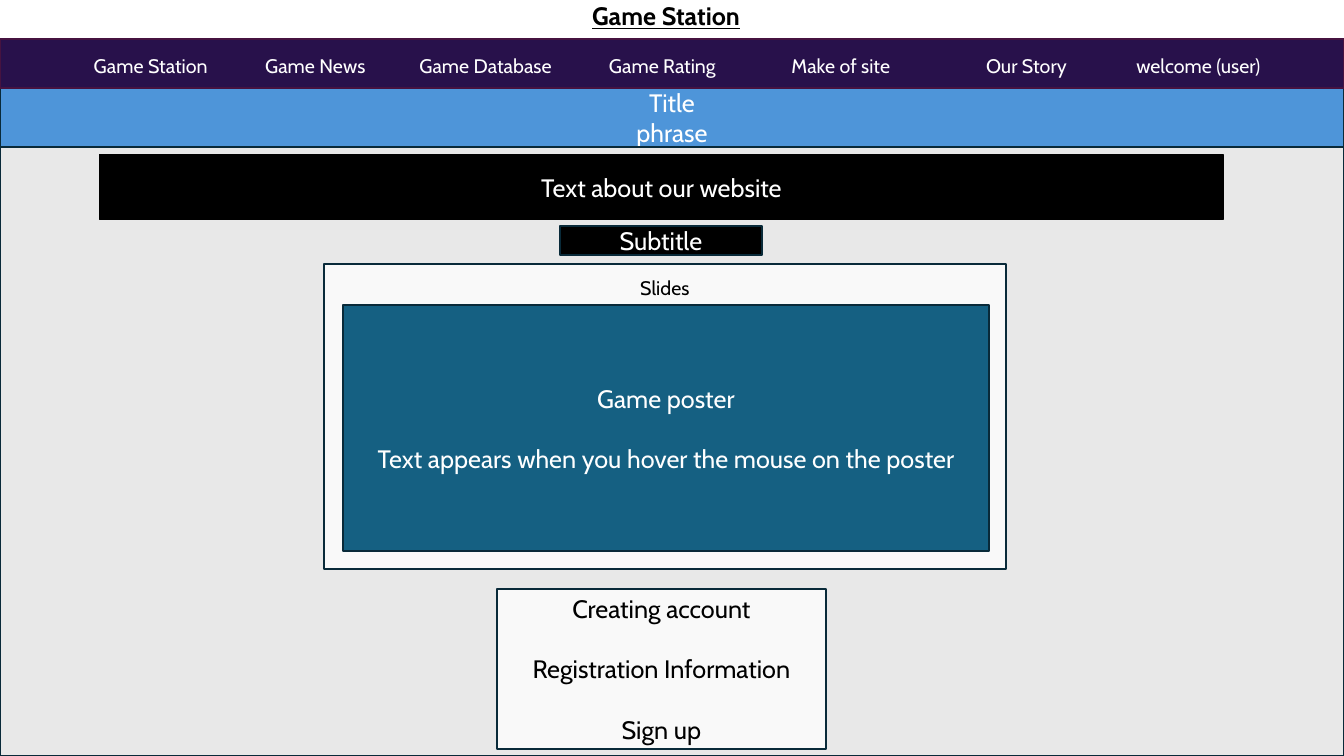
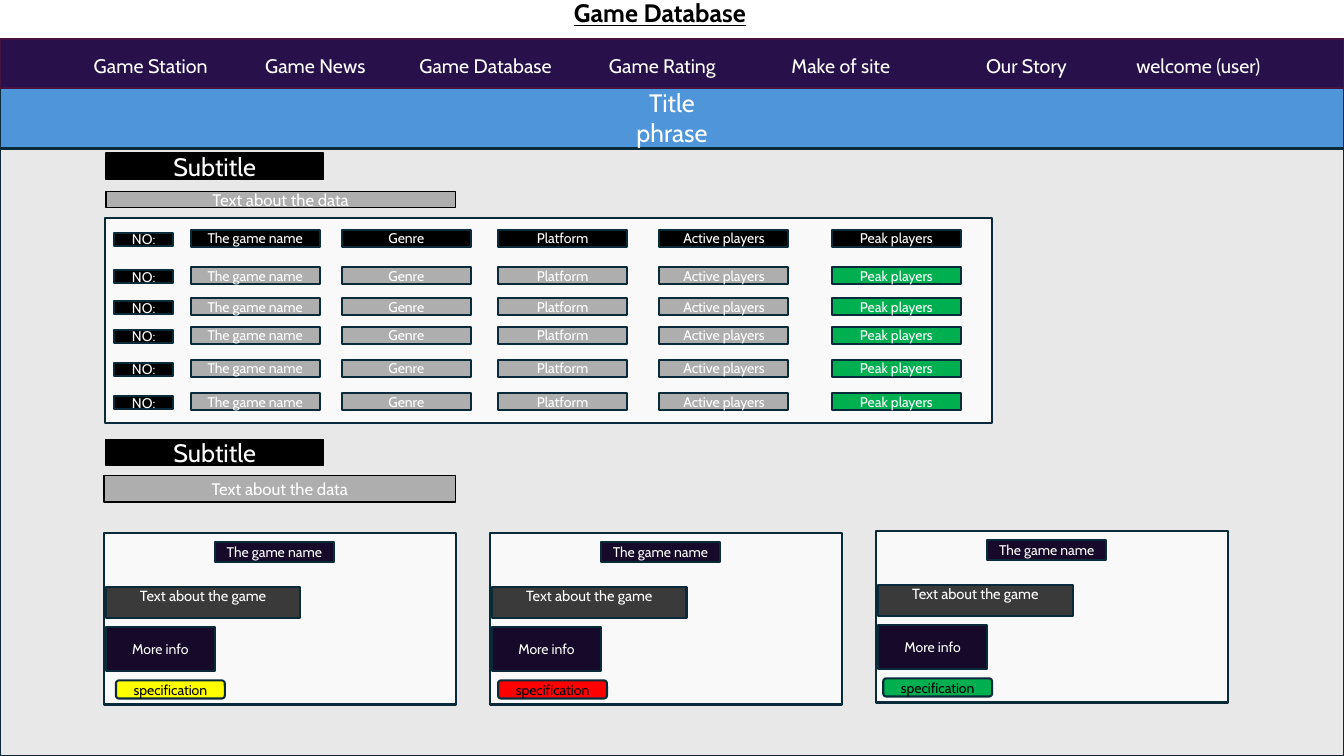
from dataclasses import dataclass

import lxml.etree
import pptx
import pptx.dml.color
import pptx.enum.shapes
import pptx.enum.text
import pptx.oxml.ns
import pptx.presentation
import pptx.slide
import pptx.text.text
import pptx.util

Inches = pptx.util.Inches
Pt = pptx.util.Pt
ANCHOR = pptx.enum.text.MSO_ANCHOR
ALIGN = pptx.enum.text.PP_ALIGN
SHAPE = pptx.enum.shapes.MSO_SHAPE

FONT = "Cabin"
COLOURS = {
    "white": "FFFFFF",
    "black": "000000",
    "outline": "092A39",
    "navigation": "28114B",
    "navigation_outline": "461340",
    "banner": "4E95D9",
    "page": "E8E8E8",
    "panel": "F9F9F9",
    "poster": "156082",
    "grey": "AEAEAE",
    "charcoal": "3A3A3A",
    "violet": "160929",
    "green": "00B050",
    "yellow": "FFFF00",
    "red": "FF0000",
}

SLIDE_WIDTH = 13.33
SLIDE_HEIGHT = 7.5
NAVIGATION_LEFT = 0.93
NAVIGATION_ITEMS = (
    ("Game Station", 0.93),
    ("Game News", 2.63),
    ("Game Database", 4.16),
    ("Game Rating", 6.04),
    ("Make of site", 7.85),
    ("Our Story", 9.78),
    ("welcome (user)", 11.27),
)

HEADER_TOP = 2.28
ROW_TOPS = (2.65, 2.96, 3.24, 3.57, 3.9)
CARD_STEP = 3.83


@dataclass(frozen=True)
class Box:
    left: float
    top: float
    width: float
    height: float
    fill: str
    lines: tuple[str, ...] = ()
    size: float = 18
    colour: str = "white"
    line: str = "outline"
    line_width: float = 1.5
    gap: float = 0
    top_inset: float | None = None
    rounded: bool = False


@dataclass(frozen=True)
class Column:
    label: str
    left: float
    fill: str = "grey"
    width: float = 1.28
    height: float = 0.17
    drop: float = 0


@dataclass(frozen=True)
class Card:
    top: float
    tag_fill: str
    tag_left: float


COLUMNS = (
    Column("NO:", 1.13, "black", 0.59, 0.13, 0.03),
    Column("The game name", 1.89),
    Column("Genre", 3.39),
    Column("Platform", 4.94),
    Column("Active players", 6.54),
    Column("Peak players", 8.25, "green"),
)
CARDS = (
    Card(5.29, "yellow", 0.12),
    Card(5.29, "red", 0.08),
    Card(5.27, "green", 0.07),
)


def rgb(name: str) -> pptx.dml.color.RGBColor:
    return pptx.dml.color.RGBColor.from_string(COLOURS[name])


def add_run(
    paragraph: pptx.text.text._Paragraph, text: str, size: float, colour: str
) -> pptx.text.text._Run:
    run = paragraph.add_run()
    run.text = text
    run.font.name = FONT
    run.font.size = Pt(size)
    run.font.color.rgb = rgb(colour)
    return run


def draw_box(slide: pptx.slide.Slide, box: Box) -> pptx.text.text.TextFrame:
    preset = SHAPE.ROUNDED_RECTANGLE if box.rounded else SHAPE.RECTANGLE
    shape = slide.shapes.add_shape(
        preset, Inches(box.left), Inches(box.top), Inches(box.width), Inches(box.height)
    )
    shape.shadow.inherit = False
    shape.fill.solid()
    shape.fill.fore_color.rgb = rgb(box.fill)
    shape.line.color.rgb = rgb(box.line)
    shape.line.width = Pt(box.line_width)
    frame = shape.text_frame
    frame.word_wrap = True
    frame.vertical_anchor = ANCHOR.MIDDLE
    if box.top_inset is not None:
        frame.vertical_anchor = ANCHOR.TOP
        frame.margin_top = Inches(box.top_inset)
    for index, text in enumerate(box.lines):
        paragraph = frame.add_paragraph() if index else frame.paragraphs[0]
        paragraph.alignment = ALIGN.CENTER
        if index:
            paragraph.space_before = Pt(box.gap)
        add_run(paragraph, text, box.size, box.colour)
    return frame


def draw_title(slide: pptx.slide.Slide, text: str, left: float, top: float) -> None:
    title = slide.shapes.title
    title.left, title.top = Inches(left), Inches(top)
    title.width, title.height = Inches(3.43), Inches(0.25)
    title.fill.solid()
    title.fill.fore_color.rgb = rgb("white")
    frame = title.text_frame
    frame.auto_size = pptx.enum.text.MSO_AUTO_SIZE.NONE
    frame.vertical_anchor = ANCHOR.MIDDLE
    paragraph = frame.paragraphs[0]
    paragraph.alignment = ALIGN.CENTER
    run = add_run(paragraph, text, 18, "black")
    run.font.bold = True
    run.font.underline = True


def draw_navigation(slide: pptx.slide.Slide) -> None:
    bar = Box(0, 0.39, SLIDE_WIDTH, 0.48, "navigation", line="navigation_outline")
    frame = draw_box(slide, bar)
    frame.margin_left = Inches(NAVIGATION_LEFT)
    frame.margin_top = Inches(0.1)
    paragraph = frame.paragraphs[0]
    paragraph.alignment = ALIGN.LEFT
    qualified = pptx.oxml.ns.qn
    properties = paragraph._p.get_or_add_pPr()
    tabs = lxml.etree.SubElement(properties, qualified("a:tabLst"))
    for index, (label, left) in enumerate(NAVIGATION_ITEMS):
        if index:
            tab = lxml.etree.SubElement(tabs, qualified("a:tab"))
            tab.set("pos", str(Inches(left - NAVIGATION_LEFT)))
            tab.set("algn", "l")
            add_run(paragraph, "\t", 14, "white")
        add_run(paragraph, label, 14, "white")


def add_page(
    presentation: pptx.presentation.Presentation,
    title: str,
    title_left: float,
    title_top: float,
    page_top: float,
) -> pptx.slide.Slide:
    slide = presentation.slides.add_slide(presentation.slide_layouts[5])
    draw_title(slide, title, title_left, title_top)
    draw_box(slide, Box(0, 0.86, SLIDE_WIDTH, 0.61, "banner", ("Title", "phrase")))
    draw_box(slide, Box(0, page_top, SLIDE_WIDTH, SLIDE_HEIGHT - page_top, "page"))
    draw_navigation(slide)
    return slide


def build_station(presentation: pptx.presentation.Presentation) -> None:
    slide = add_page(presentation, "Game Station", 4.89, 0.03, 1.46)
    boxes = (
        Box(0.99, 1.53, 11.14, 0.65, "black", ("Text about our website",),
            line="black", line_width=1),
        Box(5.55, 2.24, 2.01, 0.29, "black", ("Subtitle",)),
        Box(3.21, 2.62, 6.77, 3.03, "panel", ("Slides",), 14, "black", top_inset=0.12),
        Box(3.4, 3.03, 6.41, 2.44, "poster",
            ("Game poster", "Text appears when you hover the mouse on the poster"),
            gap=21.5),
        Box(4.93, 5.84, 3.26, 1.59, "panel",
            ("Creating account", "Registration Information", "Sign up"),
            colour="black", gap=21.5),
    )
    for box in boxes:
        draw_box(slide, box)


def draw_section_heading(
    slide: pptx.slide.Slide, top: float, caption_left: float, caption_top: float,
    caption_height: float,
) -> None:
    draw_box(slide, Box(1.05, top, 2.16, 0.26, "black", ("Subtitle",),
                        line="black", line_width=1))
    draw_box(slide, Box(caption_left, caption_top, 4.52 - caption_left, caption_height,
                        "grey", ("Text about the data",), 12, line="black", line_width=1))


def draw_game_grid(slide: pptx.slide.Slide) -> None:
    draw_box(slide, Box(1.04, 2.16, 8.8, 2.04, "panel"))
    for top in (HEADER_TOP, *ROW_TOPS):
        for column in COLUMNS:
            fill = "black" if top == HEADER_TOP else column.fill
            draw_box(slide, Box(column.left, top + column.drop, column.width,
                                column.height, fill, (column.label,), 10))


def draw_card(slide: pptx.slide.Slide, card: Card, left: float) -> None:
    top = card.top
    boxes = (
        Box(left, top, 3.49, 1.7, "panel"),
        Box(left + 1.1, top + 0.09, 1.18, 0.2, "violet", ("The game name",), 10),
        Box(left + 0.02, top + 0.53, 1.93, 0.31, "charcoal",
            ("Text about the game",), 10.5, top_inset=0),
        Box(left + 0.02, top + 0.93, 1.08, 0.44, "violet", ("More info",), 10),
        Box(left + card.tag_left, top + 1.46, 1.08, 0.18, card.tag_fill,
            ("specification",), 10, "black", rounded=True),
    )
    for box in boxes:
        draw_box(slide, box)


def build_database(presentation: pptx.presentation.Presentation) -> None:
    slide = add_page(presentation, "Game Database", 4.83, 0, 1.48)
    draw_section_heading(slide, 1.52, 1.05, 1.9, 0.16)
    draw_game_grid(slide)
    draw_section_heading(slide, 4.36, 1.03, 4.72, 0.26)
    for index, card in enumerate(CARDS):
        draw_card(slide, card, 1.03 + index * CARD_STEP)


def main() -> None:
    presentation = pptx.Presentation()
    presentation.slide_width = Inches(SLIDE_WIDTH)
    presentation.slide_height = Inches(SLIDE_HEIGHT)
    build_station(presentation)
    build_database(presentation)
    presentation.save("out.pptx")


if __name__ == "__main__":
    main()
